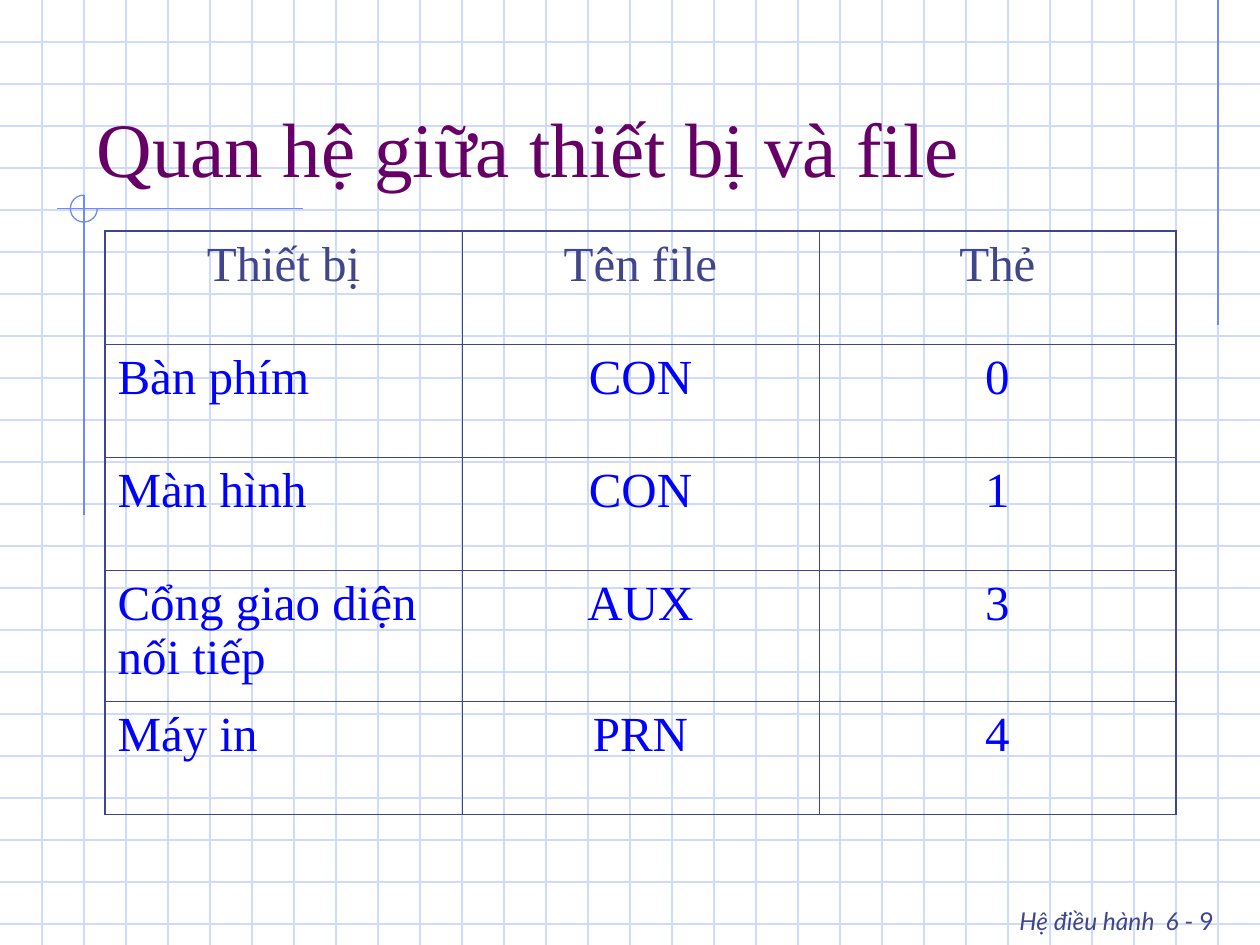
"""Build a slide with a table of devices, file names and handles on a grid background."""
import pptx
import pptx.util
import pptx.dml.color
import pptx.enum.shapes
import pptx.enum.text
import pptx.oxml
import pptx.oxml.ns
import lxml.etree

Pt = pptx.util.Pt
RGBColor = pptx.dml.color.RGBColor
ALIGN = pptx.enum.text.PP_ALIGN
ANCHOR = pptx.enum.text.MSO_ANCHOR

GRID = RGBColor(0xCF, 0xDB, 0xFD)
ACCENT = RGBColor(0x6F, 0x89, 0xF7)
INDIGO = RGBColor(0x40, 0x45, 0x8C)
PURPLE = RGBColor(0x66, 0x00, 0x66)
BLUE = RGBColor(0x00, 0x00, 0xFF)
SERIF = "Times New Roman"
WIDTH, HEIGHT, STEP = 720, 540, 24


def add_line(s, x1, y1, x2, y2, color):
    line = s.shapes.add_connector(
        pptx.enum.shapes.MSO_CONNECTOR.STRAIGHT, Pt(x1), Pt(y1), Pt(x2), Pt(y2))
    line.line.color.rgb = color
    line.line.width = Pt(0.75)
    lxml.etree.SubElement(line.element.spPr, pptx.oxml.ns.qn("a:effectLst"))


def add_border(cell, side, width):
    ln = pptx.oxml.parse_xml(
        f'<a:ln{side} {pptx.oxml.ns.nsdecls("a")} w="{Pt(width)}">'
        f'<a:solidFill><a:srgbClr val="{INDIGO}"/></a:solidFill></a:ln{side}>')
    cell._tc.get_or_add_tcPr().append(ln)


prs = pptx.Presentation()
prs.slide_width, prs.slide_height = Pt(WIDTH), Pt(HEIGHT)
s = prs.slides.add_slide(prs.slide_layouts[5])

for y in range(STEP, HEIGHT, STEP):
    add_line(s, 0, y, WIDTH, y, GRID)
for x in range(STEP, WIDTH, STEP):
    add_line(s, x, 0, x, HEIGHT, GRID)

add_line(s, 696, 0, 696, 186, ACCENT)
add_line(s, 173, 119.3, 32.5, 119.3, ACCENT)
add_line(s, 48, 111.5, 48, 294.5, ACCENT)
arc = s.shapes.add_shape(
    pptx.enum.shapes.MSO_SHAPE.ARC, Pt(40.2), Pt(111.5), Pt(15.4), Pt(15.4))
arc.adjustments[0] = 0
arc.adjustments[1] = 162
arc.fill.background()
arc.line.color.rgb = ACCENT
arc.line.width = Pt(0.75)
arc.shadow.inherit = False

sp = s.shapes.add_textbox(Pt(492), Pt(504), Pt(208.8), Pt(36))
tf = sp.text_frame
tf.word_wrap = True
p = tf.paragraphs[0]
p.alignment = ALIGN.RIGHT
p.font.name = "Lato"
p.font.color.rgb = INDIGO
for text, size, italic in [("Hệ điều hành", 14, True), (" ", 24, False),
                           ("6 ", 14, True), ("- 9", 14, False)]:
    r = p.add_run()
    r.text = text
    r.font.name = "Lato"
    r.font.color.rgb = INDIGO
    r.font.size = Pt(size)
    r.font.italic = italic

title = s.shapes.title
title.element.getparent().append(title.element)
title.left, title.top, title.width, title.height = Pt(48), Pt(24), Pt(612), Pt(90)
tf = title.text_frame
tf.text = "Quan hệ giữa thiết bị và file"
tf.vertical_anchor = ANCHOR.BOTTOM
p = tf.paragraphs[0]
p.alignment = ALIGN.LEFT
p.font.name = SERIF
p.font.size = Pt(44)
p.font.color.rgb = PURPLE

rows = [
    ("Thiết bị", "Tên file", "Thẻ"),
    ("Bàn phím", "CON", "0"),
    ("Màn hình", "CON", "1"),
    ("Cổng giao diện nối tiếp", "AUX", "3"),
    ("Máy in", "PRN", "4"),
]
heights = [64.7, 64.7, 64.7, 74.6, 64.7]
last_row, last_col = len(rows) - 1, len(rows[0]) - 1
table = s.shapes.add_table(
    len(rows), len(rows[0]), Pt(60), Pt(132), Pt(612), Pt(sum(heights))).table
table.first_row = False
table.horz_banding = False
for column in table.columns:
    column.width = Pt(204)
for i, row in enumerate(rows):
    table.rows[i].height = Pt(heights[i])
    for j, text in enumerate(row):
        cell = table.cell(i, j)
        cell.text = text
        cell.vertical_anchor = ANCHOR.TOP
        for side, outer in [("L", j == 0), ("R", j == last_col),
                            ("T", i == 0), ("B", i == last_row)]:
            add_border(cell, side, 1.08 if outer else 0.45)
        cell.fill.background()
        p = cell.text_frame.paragraphs[0]
        p.alignment = ALIGN.LEFT if i and j == 0 else ALIGN.CENTER
        p.space_before = Pt(7)
        p.font.name = SERIF
        p.font.size = Pt(28)
        p.font.color.rgb = BLUE if i else INDIGO

prs.save("out.pptx")
